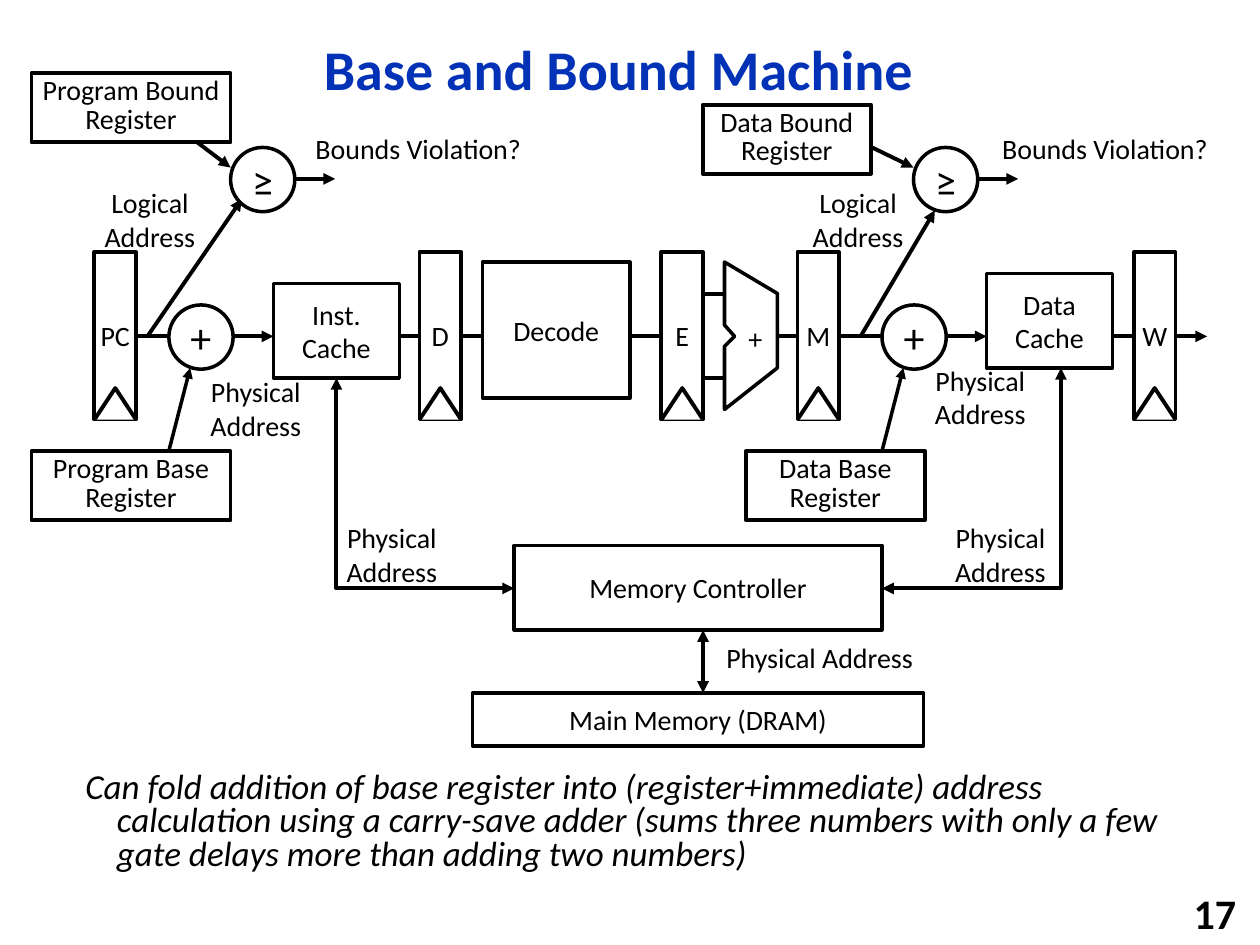
from dataclasses import dataclass

from lxml.etree import SubElement
from pptx import Presentation
from pptx.dml.color import RGBColor
from pptx.enum.shapes import MSO_CONNECTOR, MSO_SHAPE
from pptx.enum.text import MSO_ANCHOR, PP_ALIGN
from pptx.oxml.ns import qn
from pptx.util import Inches, Pt


@dataclass(frozen=True)
class Theme:
    font: str = "Calibri"
    ink: RGBColor = RGBColor(0, 0, 0)
    paper: RGBColor = RGBColor(255, 255, 255)
    title: RGBColor = RGBColor(0x03, 0x32, 0xB7)
    label_size: int = 16
    note_size: int = 20
    symbol_size: int = 24
    title_size: int = 32
    thin: float = 2
    thick: float = 2.25


@dataclass(frozen=True)
class Translation:
    name: str
    adder_left: float
    comparator_left: float
    base_box: tuple
    bound_box: tuple
    bound_wire: tuple
    logical_wire: tuple
    logical_label: tuple
    physical_label: tuple
    violation_left: float


THEME = Theme()
BUS_Y = 2.67
CIRCLE = 0.51
COMPARATOR_TOP = 1.17
REGISTER_TOP, REGISTER_WIDTH, REGISTER_HEIGHT = 2, 0.33, 1.33
LABEL_SIZE = (1.22, 0.64)

TRANSLATIONS = (
    Translation("Program", 1.34, 1.83, (0.25, 3.58, 1.58, 0.55), (0.25, 0.58, 1.58, 0.55),
                ((1.5, 1.08), (1.83, 1.33)), ((1.17, BUS_Y), (1.92, 1.58)),
                (0.58, 1.42), (1.42, 2.92), 2.4),
    Translation("Data", 7, 7.25, (5.92, 3.58, 1.42, 0.55), (5.58, 0.83, 1.33, 0.55),
                ((6.92, 1.17), (7.25, 1.33)), ((6.83, BUS_Y), (7.42, 1.67)),
                (6.2, 1.42), (7.17, 2.83), 7.85),
)


def write_text(shape, text, size=THEME.label_size, color=THEME.ink, bold=False, italic=False,
               align=PP_ALIGN.CENTER, anchor=MSO_ANCHOR.MIDDLE, spacing=None, wrap=True,
               margins=(0.1, 0.05)):
    frame = shape.text_frame
    frame.text = text
    frame.word_wrap = wrap
    frame.vertical_anchor = anchor
    frame.margin_left = frame.margin_right = Inches(margins[0])
    frame.margin_top = frame.margin_bottom = Inches(margins[1])
    para = frame.paragraphs[0]
    para.alignment = align
    if spacing:
        para.line_spacing = spacing
    font = para.runs[0].font
    font.name, font.size, font.color.rgb = THEME.font, Pt(size), color
    font.bold, font.italic = bold, italic


def add_text(page, bounds, text, **style):
    box = page.shapes.add_textbox(*map(Inches, bounds))
    write_text(box, text, **style)
    return box


def set_outline(shape, width):
    shape.line.color.rgb = THEME.ink
    shape.line.width = Pt(width)


def set_arrowheads(shape, head, tail):
    line = shape.line._get_or_add_ln()
    for wanted, tag in ((head, "a:headEnd"), (tail, "a:tailEnd")):
        if wanted:
            SubElement(line, qn(tag), type="triangle")


def add_box(page, bounds, text, width=THEME.thin, kind=MSO_SHAPE.RECTANGLE, **style):
    box = page.shapes.add_shape(kind, *map(Inches, bounds))
    box.shadow.inherit = False
    box.fill.solid()
    box.fill.fore_color.rgb = THEME.paper
    set_outline(box, width)
    write_text(box, text, **style)


def add_circle(page, left, top, symbol):
    add_box(page, (left, top, CIRCLE, CIRCLE), symbol, kind=MSO_SHAPE.OVAL,
            size=THEME.symbol_size, wrap=False)


def add_register_box(page, bounds, text):
    add_box(page, bounds, text, THEME.thick, anchor=MSO_ANCHOR.TOP, spacing=0.85,
            margins=(0.08, 0.04))


def add_wire(page, start, end, head=False, tail=False, width=THEME.thick):
    wire = page.shapes.add_connector(MSO_CONNECTOR.STRAIGHT, *map(Inches, start + end))
    set_outline(wire, width)
    set_arrowheads(wire, head, tail)
    SubElement(wire._element.spPr, qn("a:effectLst"))


def add_outline(page, points, width=THEME.thick, close=False, filled=True):
    start, *rest = [tuple(map(Inches, point)) for point in points]
    builder = page.shapes.build_freeform(*start)
    builder.add_line_segments(rest, close=close)
    outline = builder.convert_to_shape()
    outline.shadow.inherit = False
    if filled:
        outline.fill.solid()
        outline.fill.fore_color.rgb = THEME.paper
    else:
        outline.fill.background()
    set_outline(outline, width)
    return outline


def add_pipeline_register(page, left, name):
    bottom = REGISTER_TOP + REGISTER_HEIGHT
    add_box(page, (left, REGISTER_TOP, REGISTER_WIDTH, REGISTER_HEIGHT), name, THEME.thick,
            wrap=False)
    add_outline(page, ((left, bottom), (left + REGISTER_WIDTH / 2, bottom - 0.25),
                       (left + REGISTER_WIDTH, bottom)))


def add_pipeline(page):
    for start, end, arrow in ((1.08, 2.17, True), (3.17, 5.25, False),
                              (6.17, 7.83, True), (8.83, 9.58, True)):
        add_wire(page, (start, BUS_Y), (end, BUS_Y), tail=arrow)
    for left, name in ((0.75, "PC"), (3.33, "D"), (5.25, "E"), (6.33, "M"), (9, "W")):
        add_pipeline_register(page, left, name)
    for bounds, name in (((2.17, 2.25, 1, 0.75), "Inst. Cache"),
                         ((3.83, 2.08, 1.17, 1.08), "Decode"),
                         ((7.83, 2.17, 1, 0.75), "Data Cache")):
        add_box(page, bounds, name)
    add_outline(page, ((5.75, 2.08), (5.75, 2.58), (5.83, BUS_Y), (5.75, 2.75), (5.75, 3.25),
                       (6.17, 2.92), (6.17, 2.33)), THEME.thin, close=True)
    for input_y in (2.33, 3):
        add_wire(page, (5.58, input_y), (5.75, input_y))
    add_text(page, (5.84, 2.5, 0.31, 0.37), "+", wrap=False)


def add_memory(page):
    add_box(page, (3.75, 5.5, 3.58, 0.42), "Main Memory (DRAM)")
    add_box(page, (4.08, 4.33, 2.92, 0.67), "Memory Controller")
    for cache_x, cache_bottom, controller_x in ((2.67, 3, 4.08), (8.42, 2.92, 7)):
        route = add_outline(page, ((cache_x, cache_bottom), (cache_x, 4.67),
                                   (controller_x, 4.67)), filled=False)
        set_arrowheads(route, head=True, tail=True)
    add_wire(page, (5.58, 5), (5.58, 5.5), head=True, tail=True)
    for left in (2.5, 7.33):
        add_text(page, (left, 4.08, *LABEL_SIZE), "Physical Address")
    add_text(page, (5.17, 5.03, 2.67, 0.37), "Physical Address")


def add_translation(page, unit):
    adder, comparator = unit.adder_left, unit.comparator_left
    output_y = COMPARATOR_TOP + 0.25
    add_wire(page, (adder, 3.58), (adder + 0.17, 2.92), tail=True, width=THEME.thin)
    add_wire(page, *unit.logical_wire, tail=True)
    add_wire(page, *unit.bound_wire, tail=True)
    add_wire(page, (comparator + 0.5, output_y), (comparator + 0.83, output_y), tail=True)
    add_circle(page, adder, 2.42, "+")
    add_circle(page, comparator, COMPARATOR_TOP, "≥")
    add_register_box(page, unit.base_box, f"{unit.name} Base Register")
    add_register_box(page, unit.bound_box, f"{unit.name} Bound Register")
    add_text(page, unit.logical_label + LABEL_SIZE, "Logical Address")
    add_text(page, unit.physical_label + LABEL_SIZE, "Physical Address")
    add_text(page, (unit.violation_left, 1, 1.84, 0.35), "Bounds Violation?", wrap=False,
             anchor=MSO_ANCHOR.TOP, margins=(0.08, 0.04))


def add_note(page):
    note = add_text(page, (0.58, 6.08, 8.83, 0.92),
                    "Can fold addition of base register into (register+immediate) address "
                    "calculation using a carry-save adder (sums three numbers with only a few "
                    "gate delays more than adding two numbers)",
                    size=THEME.note_size, italic=True, align=PP_ALIGN.LEFT,
                    anchor=MSO_ANCHOR.TOP, spacing=0.8)
    properties = note.text_frame.paragraphs[0]._p.get_or_add_pPr()
    properties.set("marL", str(Inches(0.25)))
    properties.set("indent", str(Inches(-0.25)))


def main():
    deck = Presentation()
    deck.slide_width, deck.slide_height = Inches(10), Inches(7.5)
    page = deck.slides.add_slide(deck.slide_layouts[6])
    add_text(page, (0.92, 0.17, 7.98, 0.81), "Base and Bound Machine", size=THEME.title_size,
             color=THEME.title, bold=True, spacing=0.9)
    add_text(page, (7.83, 7.08, 2.08, 0.32), "17", size=THEME.symbol_size, bold=True,
             align=PP_ALIGN.RIGHT)
    add_note(page)
    add_pipeline(page)
    add_memory(page)
    for unit in TRANSLATIONS:
        add_translation(page, unit)
    deck.save("out.pptx")


if __name__ == "__main__":
    main()
